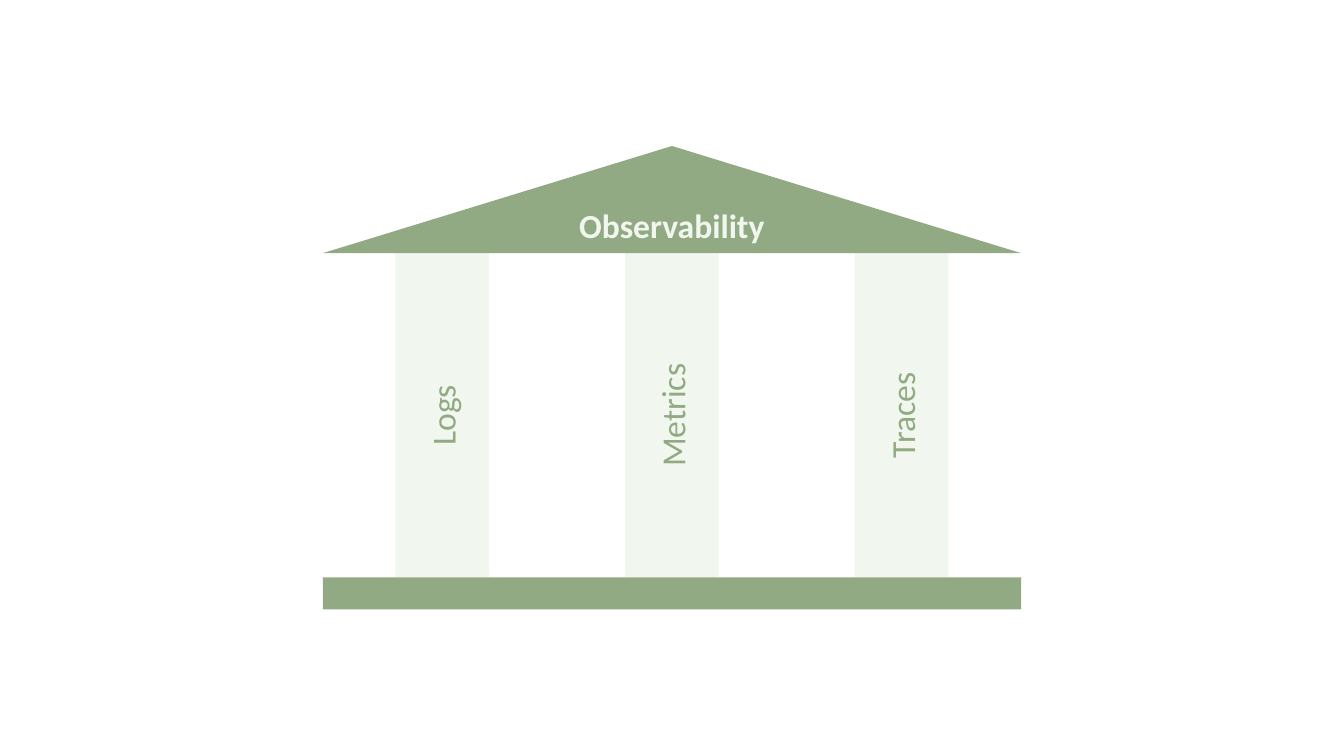
from dataclasses import dataclass

from pptx import Presentation
from pptx.dml.color import RGBColor
from pptx.enum.shapes import MSO_SHAPE
from pptx.enum.text import MSO_ANCHOR, PP_ALIGN
from pptx.util import Cm, Pt

RECTANGLE = MSO_SHAPE.RECTANGLE
TRIANGLE = MSO_SHAPE.ISOSCELES_TRIANGLE
CENTER = PP_ALIGN.CENTER
TOP = MSO_ANCHOR.TOP
MIDDLE = MSO_ANCHOR.MIDDLE


@dataclass(frozen=True)
class Theme:
    font: str = "Calibri"
    label_size: int = 24
    green: RGBColor = RGBColor(0x92, 0xAA, 0x83)
    pale: RGBColor = RGBColor(0xF1, 0xF7, 0xEE)


THEME = Theme()

# Temple measurements in centimetres
SLIDE_WIDTH, SLIDE_HEIGHT = 33.87, 19.05
TEMPLE_WIDTH = 17.6
TEMPLE_TOP = 3.68
ROOF_HEIGHT, PILLAR_HEIGHT, BASE_HEIGHT = 2.7, 8.17, 0.81
PILLAR_WIDTH, PILLAR_PITCH = 2.36, 5.79
PILLARS = ["Logs", "Metrics", "Traces"]


def add_block(group, kind, center, top, width, height, fill):
    """Add a borderless filled shape centred on a vertical axis."""
    shape = group.shapes.add_shape(
        kind, Cm(center - width / 2), Cm(top), Cm(width), Cm(height))
    shape.shadow.inherit = False
    shape.fill.solid()
    shape.fill.fore_color.rgb = fill
    shape.line.fill.background()
    return shape


def add_label(shape, text, color, anchor, bold=False):
    frame = shape.text_frame
    frame.word_wrap = True
    frame.vertical_anchor = anchor
    paragraph = frame.paragraphs[0]
    paragraph.alignment = CENTER
    run = paragraph.add_run()
    run.text = text
    run.font.name = THEME.font
    run.font.size = Pt(THEME.label_size)
    run.font.bold = bold
    run.font.color.rgb = color


def add_pillar(group, text, center, top):
    pillar = add_block(group, RECTANGLE, center, top,
                       PILLAR_WIDTH, PILLAR_HEIGHT, THEME.pale)
    add_label(pillar, text, THEME.green, MIDDLE)
    # Turn the label to read upwards
    pillar.text_frame._txBody.bodyPr.set("vert", "vert270")


def main():
    presentation = Presentation()
    presentation.slide_width = Cm(SLIDE_WIDTH)
    presentation.slide_height = Cm(SLIDE_HEIGHT)
    slide = presentation.slides.add_slide(presentation.slide_layouts[6])
    temple = slide.shapes.add_group_shape()

    axis = SLIDE_WIDTH / 2
    pillar_top = TEMPLE_TOP + ROOF_HEIGHT
    base_top = pillar_top + PILLAR_HEIGHT

    # Pillars, spread evenly about the axis
    for index, text in enumerate(PILLARS):
        offset = (index - (len(PILLARS) - 1) / 2) * PILLAR_PITCH
        add_pillar(temple, text, axis + offset, pillar_top)

    # Roof
    roof = add_block(temple, TRIANGLE, axis, TEMPLE_TOP,
                     TEMPLE_WIDTH, ROOF_HEIGHT, THEME.green)
    add_label(roof, "Observability", THEME.pale, TOP, bold=True)

    # Base
    add_block(temple, RECTANGLE, axis, base_top,
              TEMPLE_WIDTH, BASE_HEIGHT, THEME.green)

    presentation.save("out.pptx")


if __name__ == "__main__":
    main()
